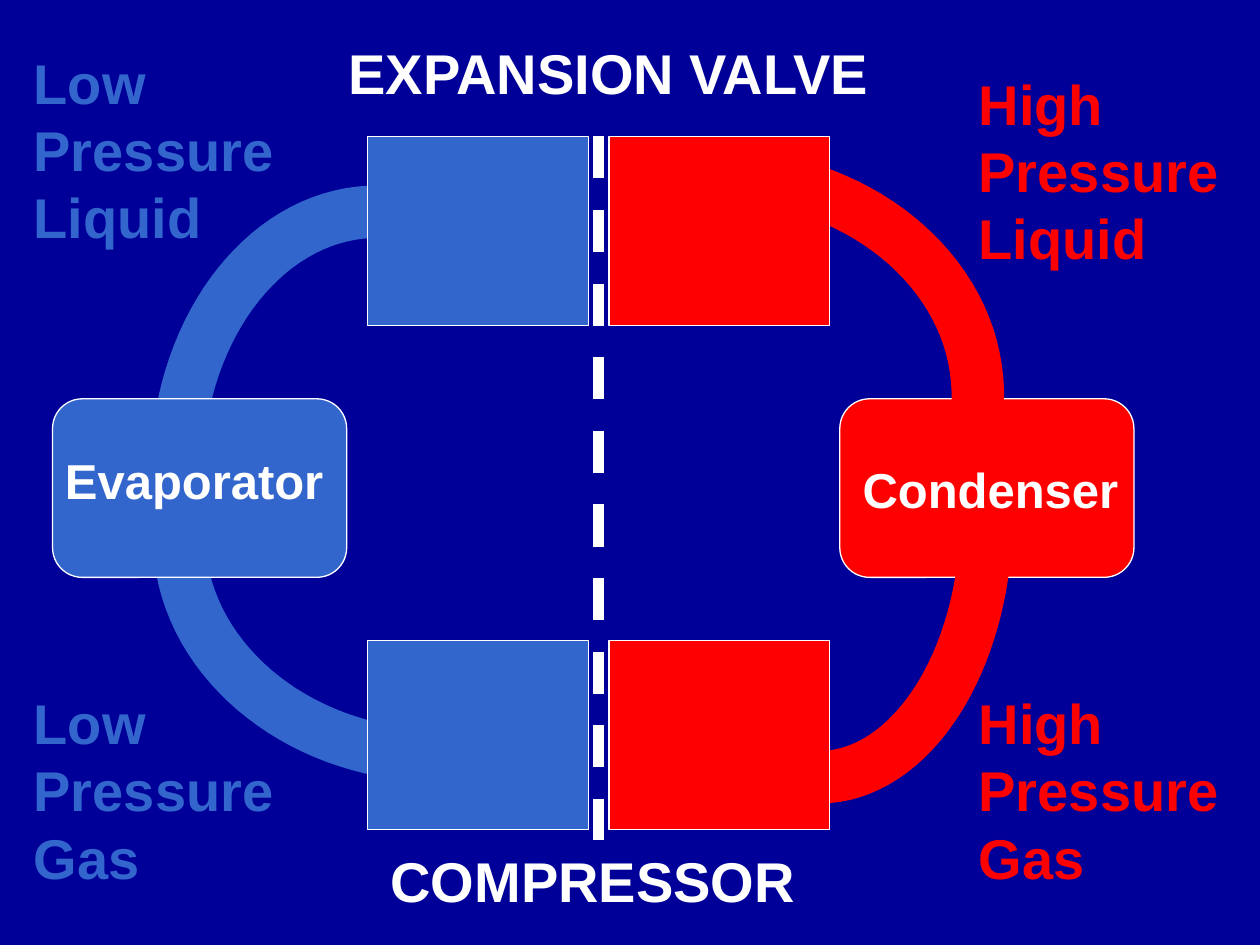
from pptx import Presentation
from pptx.dml.color import RGBColor
from pptx.enum.dml import MSO_LINE
from pptx.enum.shapes import MSO_CONNECTOR, MSO_SHAPE
from pptx.enum.text import MSO_ANCHOR, MSO_AUTO_SIZE, PP_ALIGN
from pptx.oxml.ns import qn
from pptx.util import Cm, Pt
from lxml.etree import SubElement

COLORS = {"navy": "000099", "cold": "3366CC", "hot": "FF0000", "white": "FFFFFF"}

# Content: text, left, top, width, height (cm), size, colour
TITLE = ("EXPANSION VALVE", 6.77, 0.64, 11.43, 1.63, 32, "white")
LABELS = [
    ("COMPRESSOR", 7.62, 16.94, 9.31, 1.63, 32, "white"),
    ("Evaporator", 1.06, 8.95, 5.93, 1.44, 28, "white"),
    ("Condenser", 17.14, 9.14, 5.93, 1.44, 28, "white"),
    ("Low Pressure Liquid", 0.43, 0.85, 5.5, 4.32, 32, "cold"),
    ("Low Pressure Gas", 0.43, 13.76, 5.69, 4.32, 32, "cold"),
    ("High Pressure Liquid", 19.48, 1.27, 5.5, 4.32, 32, "hot"),
    ("High Pressure Gas", 19.48, 13.76, 5.5, 4.32, 32, "hot"),
]
# Pipes: colour and the four Bezier control points (cm)
PIPES = [
    ("cold", [(3.61, 10.8), (3.61, 13.21), (5.92, 15.19), (8.79, 15.24)]),
    ("hot", [(16.51, 15.67), (18.36, 15.67), (19.86, 13.34), (19.89, 10.46)]),
    ("hot", [(19.71, 8.1), (19.79, 5.66), (17.5, 3.63), (14.61, 3.53)]),
    ("cold", [(7.67, 4.27), (5.46, 4.22), (3.63, 6.5), (3.56, 9.4)]),
]
BLOCK_COLUMNS = {"cold": 7.41, "hot": 12.28}
BLOCK_ROWS = (2.75, 12.91)
UNIT_COLUMNS = {"cold": 1.06, "hot": 16.93}
PIPE_STEPS = 32


def color(name):
    return RGBColor.from_string(COLORS[name])


def add_box(kind, left, top, width, height, fill):
    sp = shapes.add_shape(kind, Cm(left), Cm(top), Cm(width), Cm(height))
    sp.shadow.inherit = False
    sp.fill.solid()
    sp.fill.fore_color.rgb = color(fill)
    sp.line.color.rgb = color("white")
    sp.line.width = Pt(0.75)


def add_unit(fill):
    add_box(MSO_SHAPE.ROUNDED_RECTANGLE, UNIT_COLUMNS[fill], 8.04, 5.93, 3.6, fill)


def bezier(points, t):
    weights = ((1 - t) ** 3, 3 * t * (1 - t) ** 2, 3 * t * t * (1 - t), t ** 3)
    return tuple(Cm(sum(w * p[axis] for w, p in zip(weights, points)))
                 for axis in (0, 1))


def add_pipe(name, points):
    start, *rest = [bezier(points, i / PIPE_STEPS) for i in range(PIPE_STEPS + 1)]
    builder = shapes.build_freeform(*start)
    builder.add_line_segments(rest, close=False)
    sp = builder.convert_to_shape()
    sp.shadow.inherit = False
    sp.fill.background()
    sp.line.color.rgb = color(name)
    sp.line.width = Pt(30)


def set_text(sp, text, left, top, width, height, size, name):
    sp.left, sp.top, sp.width, sp.height = map(Cm, (left, top, width, height))
    tf = sp.text_frame
    tf.word_wrap = True
    tf.auto_size = MSO_AUTO_SIZE.NONE
    tf.vertical_anchor = MSO_ANCHOR.TOP
    p = tf.paragraphs[0]
    p.text = text
    p.alignment = PP_ALIGN.LEFT
    p.line_spacing = Pt(size * 1.2)
    p.font.name = "Arial"
    p.font.size = Pt(size)
    p.font.bold = True
    p.font.color.rgb = color(name)


prs = Presentation()
prs.slide_width, prs.slide_height = Cm(25.4), Cm(19.05)
s = prs.slides.add_slide(prs.slide_layouts[5])
s.background.fill.solid()
s.background.fill.fore_color.rgb = color("navy")
shapes = s.shapes

# Title
set_text(shapes.title, *TITLE)

# Condenser lies under the pipes
add_unit("hot")

# Divider between the low and high pressure sides
divider = shapes.add_connector(MSO_CONNECTOR.STRAIGHT,
                               Cm(12.07), Cm(2.75), Cm(12.07), Cm(16.93))
divider.line.color.rgb = color("white")
divider.line.width = Pt(6)
divider.line.dash_style = MSO_LINE.DASH
SubElement(divider._element.spPr, qn("a:effectLst"))

# Pipes, then the blocks and evaporator that cover their ends
for name, points in PIPES:
    add_pipe(name, points)
for name, left in BLOCK_COLUMNS.items():
    for top in BLOCK_ROWS:
        add_box(MSO_SHAPE.RECTANGLE, left, top, 4.45, 3.81, name)
add_unit("cold")

# Labels
for label in LABELS:
    set_text(shapes.add_textbox(0, 0, 0, 0), *label)

prs.save("out.pptx")
